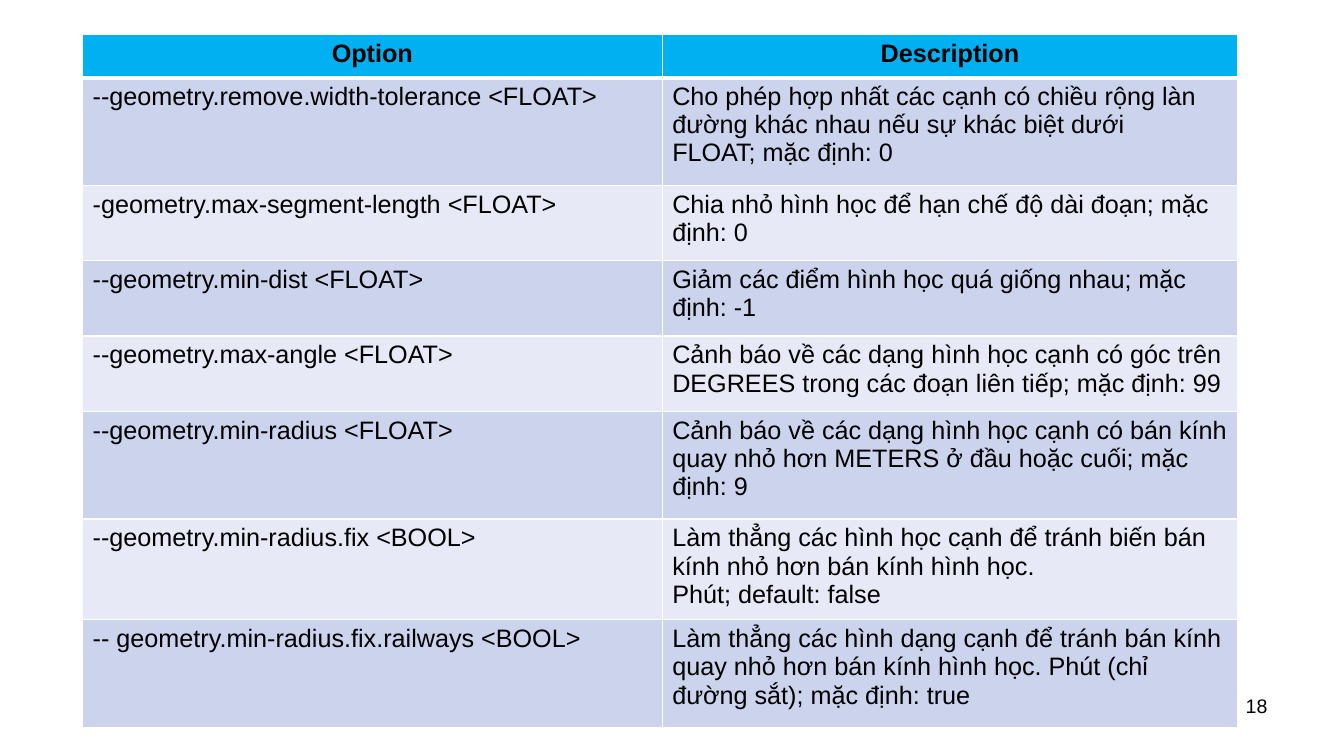
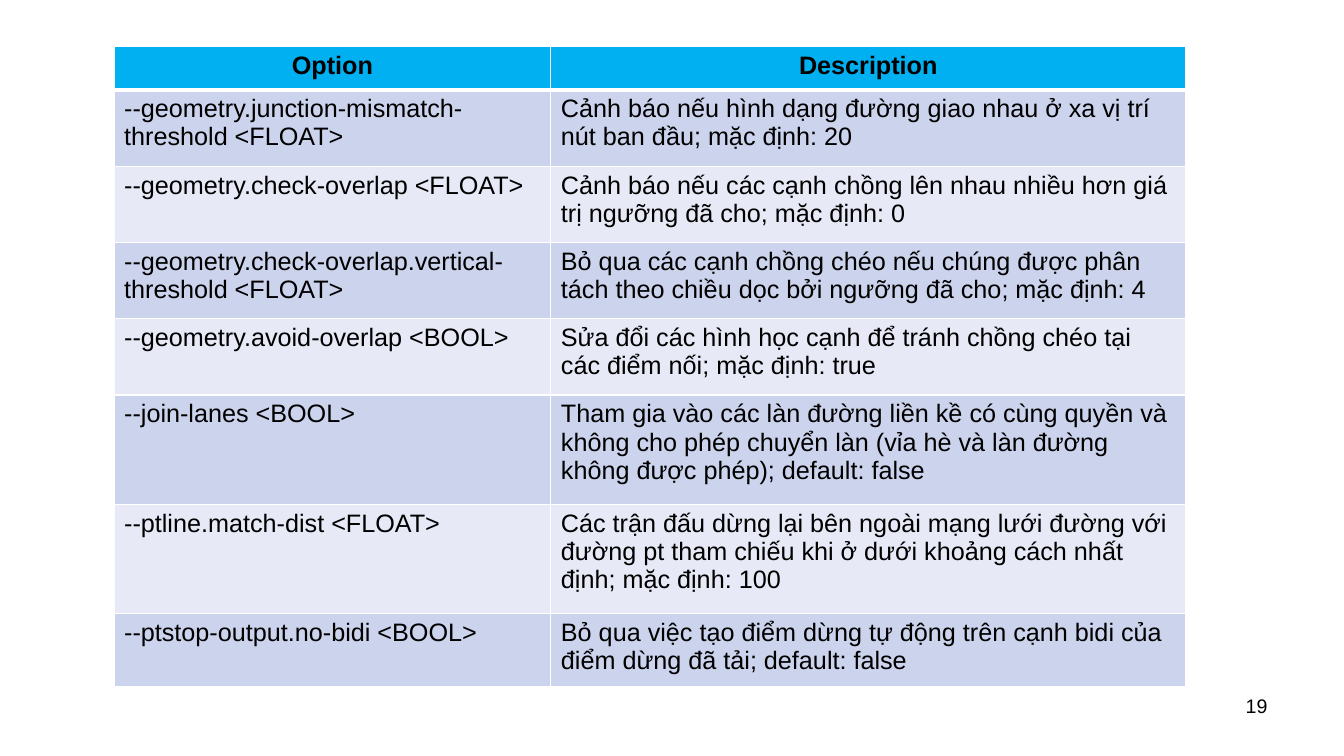
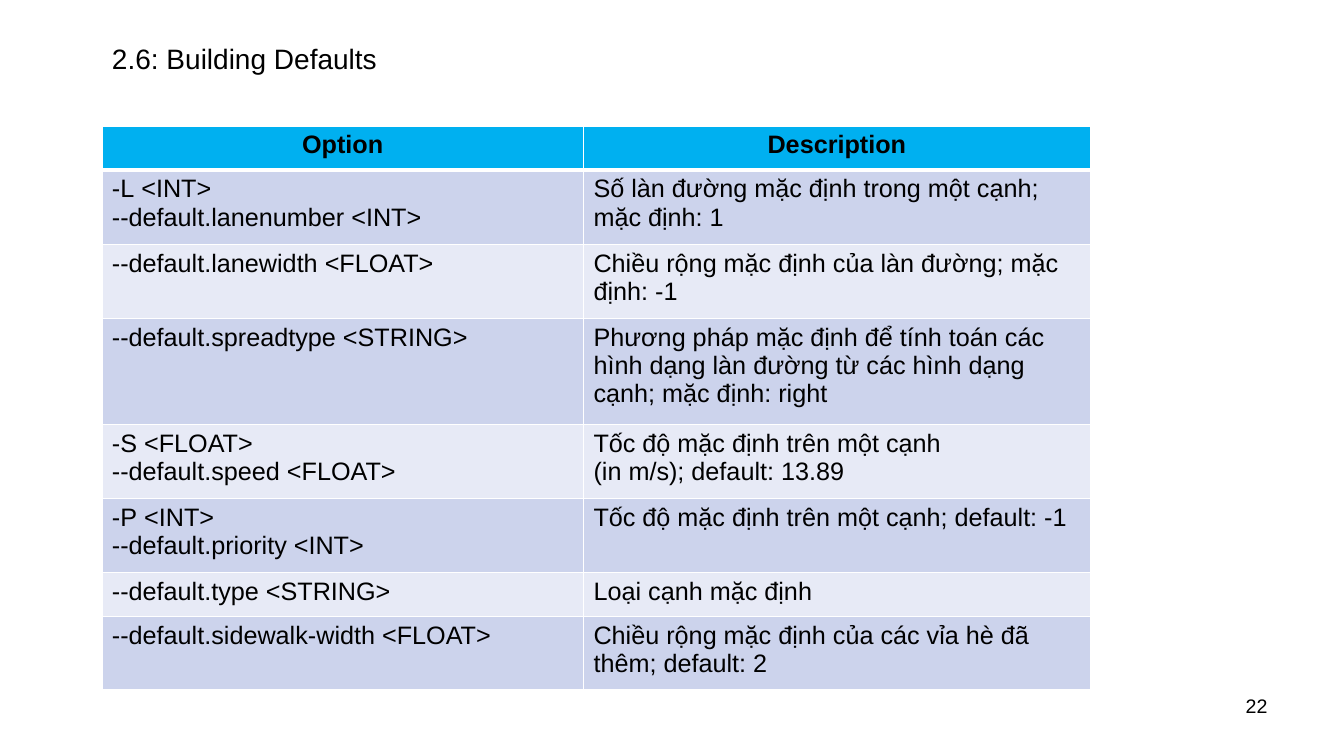
from dataclasses import dataclass

from lxml.etree import SubElement
from pptx import Presentation
from pptx.dml.color import RGBColor
from pptx.enum.text import MSO_ANCHOR as Anchor, MSO_AUTO_SIZE as AutoSize, PP_ALIGN as Align
from pptx.oxml.ns import qn
from pptx.slide import Slide
from pptx.table import _Cell as Cell
from pptx.text.text import TextFrame
from pptx.util import Pt

FONT = "Arial"
BLACK = RGBColor(0x00, 0x00, 0x00)
WHITE = RGBColor(0xFF, 0xFF, 0xFF)
HEADER_BLUE = RGBColor(0x00, 0xB0, 0xF0)
BAND_COLOURS = (RGBColor(0xCC, 0xD3, 0xEC), RGBColor(0xE7, 0xEA, 0xF6))

HEADINGS = ("Option", "Description")
TITLE_ONLY_LAYOUT, BLANK_LAYOUT = 5, 6
THIN, THICK = 1, 3
TIE = "~"
NO_BREAK_SPACE = chr(160)


@dataclass(frozen=True)
class OptionRow:
    height: float
    option: str
    description: str


@dataclass(frozen=True)
class OptionSlide:
    """One slide; lengths are in points and "~" in texts is a no-break space."""
    number: int
    left: float
    top: float
    widths: tuple[float, float]
    header_height: float
    rows: tuple[OptionRow, ...]
    title: str = ""


SLIDES = (
    OptionSlide(18, 59, 24.5, (414, 411.2), 31, (
        OptionRow(77, "--geometry.remove.width-tolerance~<FLOAT>",
                  "Cho phép hợp nhất các cạnh có chiều rộng làn đường khác nhau "
                  "nếu sự khác biệt dưới FLOAT;~mặc định:~0"),
        OptionRow(53.8, "-geometry.max-segment-length~<FLOAT>",
                  "Chia nhỏ hình học để hạn chế độ dài đoạn;~mặc định:~0"),
        OptionRow(53.8, "--geometry.min-dist~<FLOAT>",
                  "Giảm các điểm hình học quá giống nhau;~mặc định:~-1"),
        OptionRow(53.8, "--geometry.max-angle~<FLOAT>",
                  "Cảnh báo về các dạng hình học cạnh có góc trên DEGREES "
                  "trong các đoạn liên tiếp;~mặc định:~99"),
        OptionRow(77, "--geometry.min-radius~<FLOAT>",
                  "Cảnh báo về các dạng hình học cạnh có bán kính quay nhỏ hơn "
                  "METERS ở đầu hoặc cuối;~mặc định:~9"),
        OptionRow(72, "--geometry.min-radius.fix~<BOOL>",
                  "Làm thẳng các hình học cạnh để tránh biến bán kính nhỏ hơn "
                  "bán kính hình học. Phút;~default:~false"),
        OptionRow(77, "-- geometry.min-radius.fix.railways~<BOOL>",
                  "Làm thẳng các hình dạng cạnh để tránh bán kính quay nhỏ hơn "
                  "bán kính hình học. Phút (chỉ đường sắt);~mặc định:~true"),
    )),
    OptionSlide(19, 81.5, 33.2, (312, 453.5), 31, (
        OptionRow(54.5, "--geometry.junction-mismatch-threshold~<FLOAT>",
                  "Cảnh báo nếu hình dạng đường giao nhau ở xa vị trí nút ban đầu;"
                  "~mặc định:~20"),
        OptionRow(54.5, "--geometry.check-overlap~<FLOAT>",
                  "Cảnh báo nếu các cạnh chồng lên nhau nhiều hơn giá trị ngưỡng "
                  "đã cho;~mặc định:~0"),
        OptionRow(54.5, "--geometry.check-overlap.vertical-threshold~<FLOAT>",
                  "Bỏ qua các cạnh chồng chéo nếu chúng được phân tách theo chiều "
                  "dọc bởi ngưỡng đã cho;~mặc định:~4"),
        OptionRow(54.5, "--geometry.avoid-overlap~<BOOL>",
                  "Sửa đổi các hình học cạnh để tránh chồng chéo tại các điểm nối;"
                  "~mặc định:~true"),
        OptionRow(78, "--join-lanes~<BOOL>",
                  "Tham gia vào các làn đường liền kề có cùng quyền và không cho "
                  "phép chuyển làn (vỉa hè và làn đường không được phép);"
                  "~default:~false"),
        OptionRow(78, "--ptline.match-dist~<FLOAT>",
                  "Các trận đấu dừng lại bên ngoài mạng lưới đường với đường pt "
                  "tham chiếu khi ở dưới khoảng cách nhất định;~mặc định:~100"),
        OptionRow(52.5, "--ptstop-output.no-bidi~<BOOL>",
                  "Bỏ qua việc tạo điểm dừng tự động trên cạnh bidi của điểm dừng "
                  "đã tải;~default:~false"),
    )),
    OptionSlide(22, 72.8, 90, (344, 362), 31.5, (
        OptionRow(53, "-L~<INT>\n--default.lanenumber~<INT>",
                  "Số làn đường mặc định trong một cạnh; mặc định: 1"),
        OptionRow(53, "--default.lanewidth~<FLOAT>",
                  "Chiều rộng mặc định của làn đường; mặc định: -1"),
        OptionRow(75.5, "--default.spreadtype~<STRING>",
                  "Phương pháp mặc định để tính toán các hình dạng làn đường từ "
                  "các hình dạng cạnh; mặc định: right"),
        OptionRow(53, "-S~<FLOAT>\n--default.speed~<FLOAT>",
                  "Tốc độ mặc định trên một cạnh\n(in m/s);~default:~13.89"),
        OptionRow(53, "-P~<INT>\n--default.priority~<INT>",
                  "Tốc độ mặc định trên một cạnh;~default:~-1"),
        OptionRow(31.5, "--default.type~<STRING>", "Loại cạnh mặc định"),
        OptionRow(52.5, "--default.sidewalk-width~<FLOAT>",
                  "Chiều rộng mặc định của các vỉa hè đã thêm;~default:~2"),
    ), title="2.6: Building Defaults"),
)


def write_text(frame: TextFrame, text: str, *, size: float = 18,
               bold: bool = False, align: Align = Align.LEFT) -> None:
    """Fill the frame, one paragraph for each line of text."""
    frame.text = text.replace(TIE, NO_BREAK_SPACE)
    for paragraph in frame.paragraphs:
        paragraph.alignment = align
        for run in paragraph.runs:
            run.font.name = FONT
            run.font.size = Pt(size)
            run.font.bold = bold
            run.font.color.rgb = BLACK


def set_borders(cell: Cell, *, top: float, bottom: float) -> None:
    properties = cell._tc.get_or_add_tcPr()
    widths = {"a:lnL": THIN, "a:lnR": THIN, "a:lnT": top, "a:lnB": bottom}
    for position, (tag, width) in enumerate(widths.items()):
        line = SubElement(properties, qn(tag), w=str(Pt(width)))
        fill = SubElement(line, qn("a:solidFill"))
        SubElement(fill, qn("a:srgbClr"), val=str(WHITE))
        properties.insert(position, line)


def add_title(slide: Slide, text: str) -> None:
    title = slide.shapes.title
    title.left, title.top, title.width, title.height = Pt(72.8), Pt(26), Pt(212), Pt(31.5)
    frame = title.text_frame
    frame.vertical_anchor = Anchor.TOP
    frame.auto_size = AutoSize.SHAPE_TO_FIT_TEXT
    write_text(frame, text, size=20)


def add_option_table(slide: Slide, content: OptionSlide) -> None:
    rows = (OptionRow(content.header_height, *HEADINGS), *content.rows)
    table = slide.shapes.add_table(
        len(rows), len(HEADINGS), Pt(content.left), Pt(content.top),
        Pt(sum(content.widths)), Pt(sum(row.height for row in rows))).table
    for column, width in zip(table.columns, content.widths):
        column.width = Pt(width)
    for index, row in enumerate(rows):
        is_header = index == 0
        table.rows[index].height = Pt(row.height)
        for cell, text in zip(table.rows[index].cells, (row.option, row.description)):
            cell.fill.solid()
            cell.fill.fore_color.rgb = HEADER_BLUE if is_header else BAND_COLOURS[(index - 1) % 2]
            set_borders(cell, top=THICK if index == 1 else THIN,
                        bottom=THICK if is_header else THIN)
            write_text(cell.text_frame, text, bold=is_header,
                       align=Align.CENTER if is_header else Align.LEFT)


def add_slide_number(slide: Slide, number: int) -> None:
    frame = slide.shapes.add_textbox(Pt(688.5), Pt(491.8), Pt(224), Pt(37.5)).text_frame
    frame.word_wrap = True
    write_text(frame, str(number), size=14, align=Align.RIGHT)


def main() -> None:
    presentation = Presentation()
    presentation.slide_width, presentation.slide_height = Pt(960), Pt(540)
    for content in SLIDES:
        layout = TITLE_ONLY_LAYOUT if content.title else BLANK_LAYOUT
        slide = presentation.slides.add_slide(presentation.slide_layouts[layout])
        if content.title:
            add_title(slide, content.title)
        add_option_table(slide, content)
        add_slide_number(slide, content.number)
    presentation.save("out.pptx")


if __name__ == "__main__":
    main()
